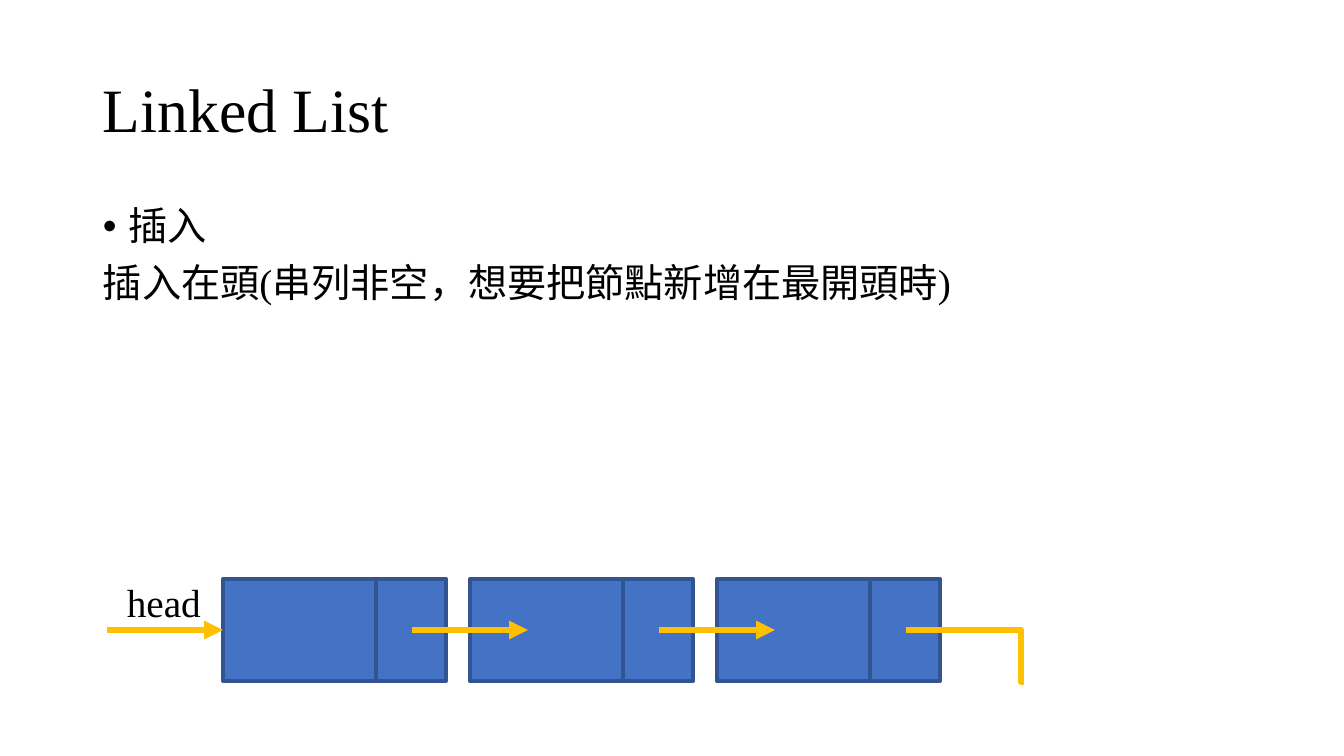
from dataclasses import dataclass

from lxml.etree import SubElement
from pptx import Presentation
from pptx.dml.color import RGBColor
from pptx.enum.shapes import MSO_CONNECTOR, MSO_SHAPE
from pptx.enum.text import MSO_ANCHOR
from pptx.oxml.ns import qn
from pptx.shapes.connector import Connector
from pptx.slide import Slide
from pptx.text.text import TextFrame
from pptx.util import Emu, Inches, Pt

PIXELS_PER_INCH = 100.8


@dataclass(frozen=True)
class Theme:
    font: str = "Times New Roman"
    text: RGBColor = RGBColor(0, 0, 0)
    node_fill: RGBColor = RGBColor(0x44, 0x72, 0xC4)
    node_border: RGBColor = RGBColor(0x32, 0x54, 0x91)
    pointer: RGBColor = RGBColor(0xFF, 0xC0, 0x00)
    title_size: Pt = Pt(44)
    body_size: Pt = Pt(28)
    border_width: Pt = Pt(3)
    pointer_width: Pt = Pt(4.5)


@dataclass(frozen=True)
class Box:
    left: int
    top: int
    width: int
    height: int


@dataclass(frozen=True)
class Pointer:
    start: int
    end: int
    y: int


THEME = Theme()

# Linked list geometry
NODE_COUNT = 3
FIRST_NODE, NODE_STEP = 223, 247
NODE_TOP, NODE_HEIGHT = 579, 102
DATA_WIDTH, NEXT_WIDTH = 153, 70
POINTER_Y, POINTER_LENGTH, POINTER_OFFSET = 630, 116, 189
NULL_WIDTH, NULL_DROP, NULL_BEND = 118, 52, 97500


def px(pixels: int) -> Emu:
    return Emu(round(pixels * Inches(1) / PIXELS_PER_INCH))


def add_text(slide: Slide, box: Box, lines: list[str], size: Pt,
             wrap: bool = True, spacing: float = 1.0, before: Pt = Pt(0)) -> TextFrame:
    frame = slide.shapes.add_textbox(
        px(box.left), px(box.top), px(box.width), px(box.height)).text_frame
    frame.word_wrap = wrap
    frame.text = "\n".join(lines)
    for paragraph in frame.paragraphs:
        paragraph.line_spacing = spacing
        paragraph.space_before = before
        paragraph.font.name = THEME.font
        paragraph.font.size = size
        paragraph.font.color.rgb = THEME.text
    return frame


def add_cell(slide: Slide, box: Box) -> None:
    cell = slide.shapes.add_shape(
        MSO_SHAPE.RECTANGLE, px(box.left), px(box.top), px(box.width), px(box.height))
    cell.shadow.inherit = False
    cell.fill.solid()
    cell.fill.fore_color.rgb = THEME.node_fill
    cell.line.color.rgb = THEME.node_border
    cell.line.width = THEME.border_width


def add_node(slide: Slide, left: int) -> None:
    add_cell(slide, Box(left, NODE_TOP, DATA_WIDTH, NODE_HEIGHT))
    add_cell(slide, Box(left + DATA_WIDTH, NODE_TOP, NEXT_WIDTH, NODE_HEIGHT))


def add_pointer(slide: Slide, pointer: Pointer, drop: int = 0) -> Connector:
    kind = MSO_CONNECTOR.ELBOW if drop else MSO_CONNECTOR.STRAIGHT
    line = slide.shapes.add_connector(
        kind, px(pointer.start), px(pointer.y), px(pointer.end), px(pointer.y + drop))
    line.line.color.rgb = THEME.pointer
    line.line.width = THEME.pointer_width
    properties = line._element.spPr
    SubElement(properties, qn("a:effectLst"))
    if drop:
        guides = properties.find(qn("a:prstGeom")).get_or_add_avLst()
        SubElement(guides, qn("a:gd"), name="adj1", fmla=f"val {NULL_BEND}")
    else:
        SubElement(properties.find(qn("a:ln")), qn("a:tailEnd"), type="triangle")
    return line


presentation = Presentation()
presentation.slide_width, presentation.slide_height = px(1344), px(756)
slide = presentation.slides.add_slide(presentation.slide_layouts[6])

# Title
title = add_text(slide, Box(93, 40, 1159, 146), ["Linked List"],
                 THEME.title_size, spacing=0.9)
title.vertical_anchor = MSO_ANCHOR.MIDDLE

# Explanation, with a bullet on its first line
explanation = add_text(slide, Box(93, 202, 1159, 480),
                       ["插入", "插入在頭(串列非空，想要把節點新增在最開頭時)"],
                       THEME.body_size, spacing=0.9, before=Pt(10))
bullet = explanation.paragraphs[0]._p.get_or_add_pPr()
bullet.set("marL", str(Inches(0.25)))
bullet.set("indent", str(-Inches(0.25)))
bullet_font = bullet.makeelement(qn("a:buFont"), {"typeface": "Arial"})
bullet_mark = bullet.makeelement(qn("a:buChar"), {"char": "•"})
default_run = bullet.find(qn("a:defRPr"))
default_run.addprevious(bullet_font)
default_run.addprevious(bullet_mark)

# Nodes
node_lefts = [FIRST_NODE + i * NODE_STEP for i in range(NODE_COUNT)]
for node_left in node_lefts:
    add_node(slide, node_left)

# Head label and pointers
add_text(slide, Box(117, 573, 95, 57), ["head"], THEME.body_size, wrap=False)
next_starts = [left + POINTER_OFFSET for left in node_lefts]
for start in [FIRST_NODE - POINTER_LENGTH, *next_starts[:-1]]:
    add_pointer(slide, Pointer(start, start + POINTER_LENGTH, POINTER_Y))

# Last pointer turns down to the end of the list
add_pointer(slide, Pointer(next_starts[-1], next_starts[-1] + NULL_WIDTH, POINTER_Y),
            drop=NULL_DROP)

presentation.save("out.pptx")
